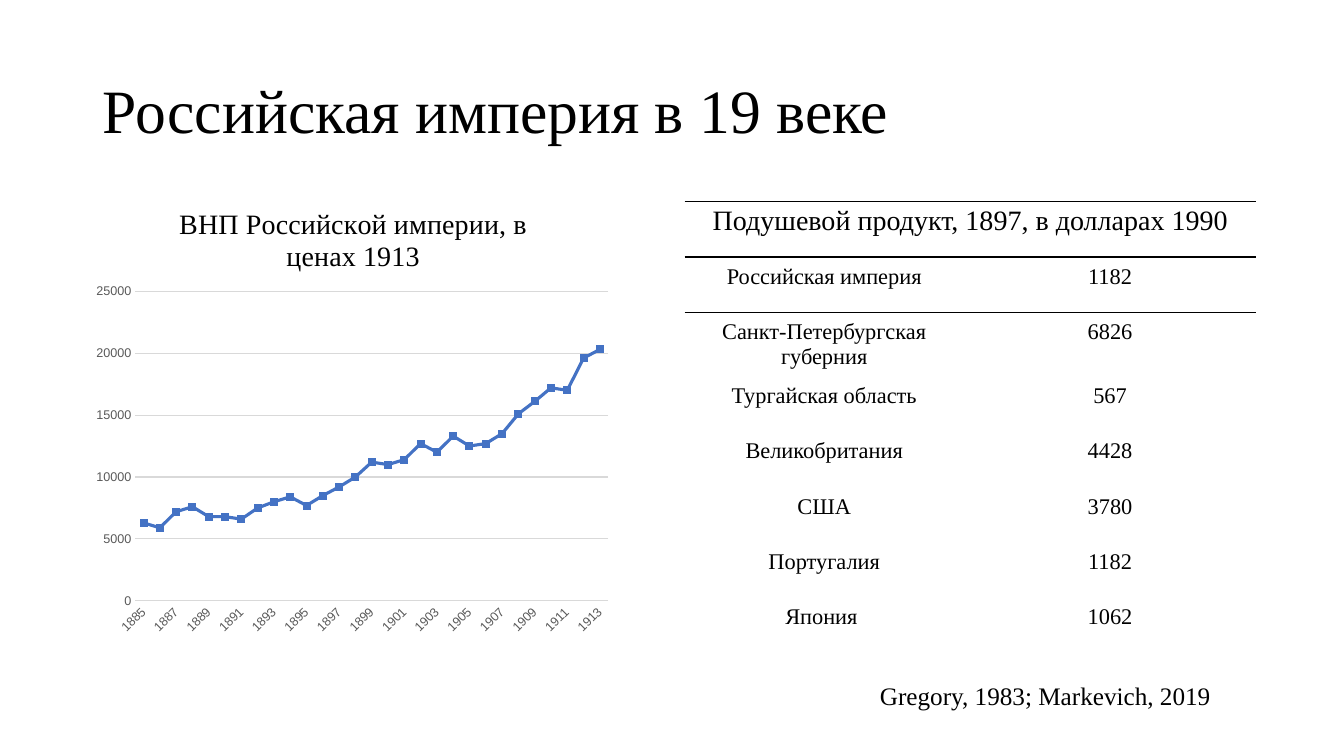
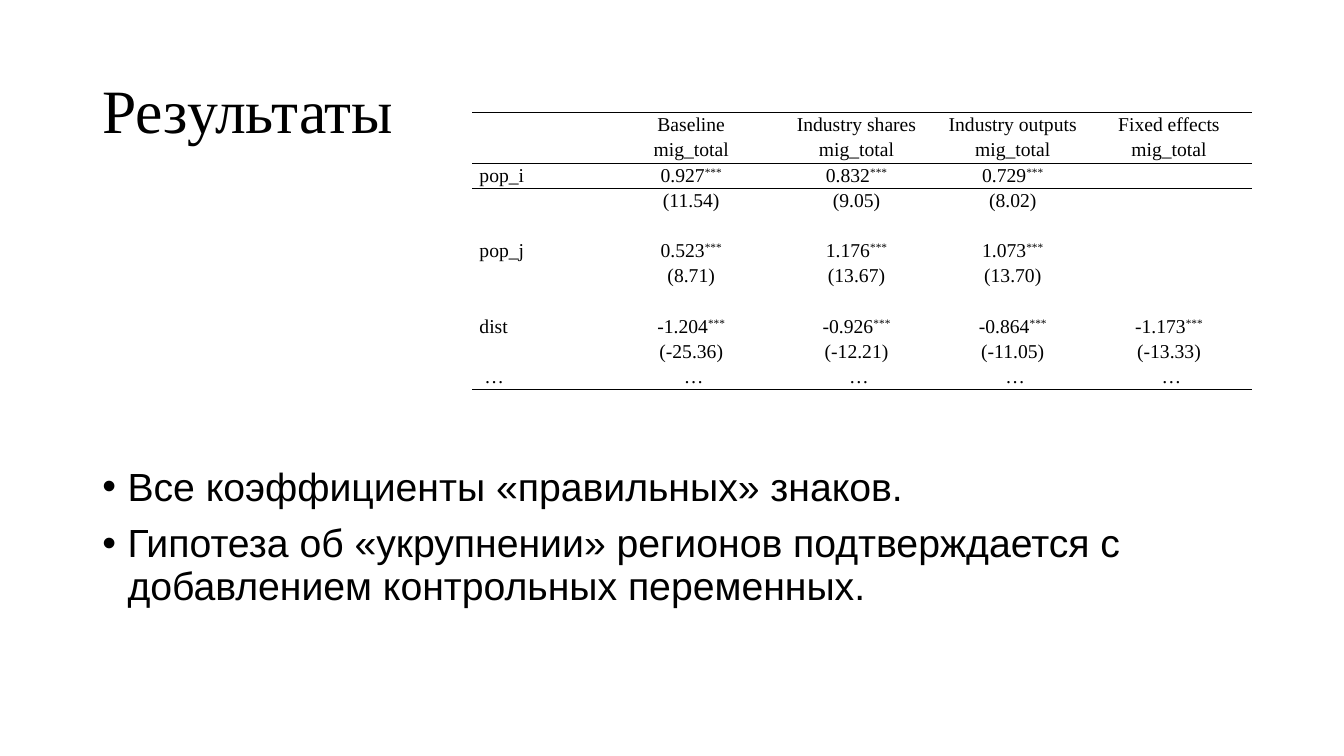
from lxml.etree import SubElement
from pptx import Presentation
from pptx.chart.data import CategoryChartData
from pptx.dml.color import RGBColor
from pptx.enum.chart import XL_CHART_TYPE as ChartType, XL_TICK_MARK as TickMark
from pptx.enum.text import MSO_ANCHOR as Anchor, MSO_AUTO_SIZE as AutoSize, PP_ALIGN as Align
from pptx.oxml import parse_xml
from pptx.oxml.ns import nsdecls, qn
from pptx.util import Pt

BLACK = RGBColor(0x00, 0x00, 0x00)
GRAY = RGBColor(0x59, 0x59, 0x59)
GRID = RGBColor(0xD9, 0xD9, 0xD9)
BLUE = RGBColor(0x44, 0x72, 0xC4)
SERIF, SANS = "Times New Roman", "Arial"
SLIDE_SIZE = (960, 540)
TITLE_BOX = (66, 28.8, 828, 104.4)
NO_STYLE = "{2D5ABB26-0587-4C30-8999-92F81FD0307C}"
STARS = "***"

GNP = [6300, 5900, 7200, 7600, 6800, 6800, 6600, 7500, 8000, 8400,
       7700, 8500, 9200, 10000, 11200, 11000, 11400, 12700, 12000, 13300,
       12500, 12700, 13500, 15100, 16100, 17200, 17000, 19600, 20300]

PRODUCT = [
    ["Подушевой продукт, 1897, в долларах 1990", ""],
    ["Российская империя", "1182"],
    ["Санкт-Петербургская губерния", "6826"],
    ["Тургайская область", "567"],
    ["Великобритания", "4428"],
    ["США", "3780"],
    ["Португалия", "1182"],
    ["Япония ", "1062"],
]

REGRESSION = [
    ["", "Baseline", "Industry shares", "Industry outputs", "Fixed effects"],
    [""] + ["mig_total"] * 4,
    ["pop_i", "0.927***", "0.832***", "0.729***", ""],
    ["", "(11.54)", "(9.05)", "(8.02)", ""],
    [""] * 5,
    ["pop_j", "0.523***", "1.176***", "1.073***", ""],
    ["", "(8.71)", "(13.67)", "(13.70)", ""],
    [""] * 5,
    ["dist", "-1.204***", "-0.926***", "-0.864***", "-1.173***"],
    ["", "(-25.36)", "(-12.21)", "(-11.05)", "(-13.33)"],
    [" …"] * 5,
]

FINDINGS = [
    "Все коэффициенты «правильных» знаков.",
    "Гипотеза об «укрупнении» регионов подтверждается с добавлением контрольных переменных.",
]


def points(box):
    return [Pt(length) for length in box]


def style_font(font, name, size, color=BLACK):
    font.name, font.size, font.bold = name, Pt(size), False
    font.color.rgb = color


def style_runs(paragraph, name, size):
    for run in paragraph.runs:
        style_font(run.font, name, size)


def titled_slide(prs, heading):
    slide = prs.slides.add_slide(prs.slide_layouts[5])
    title = slide.shapes.title
    title.left, title.top, title.width, title.height = points(TITLE_BOX)
    frame = title.text_frame
    frame.text = heading
    frame.auto_size = AutoSize.NONE
    frame.vertical_anchor = Anchor.MIDDLE
    line = frame.paragraphs[0]
    line.alignment, line.line_spacing = Align.LEFT, 0.9
    style_runs(line, SERIF, 44)
    return slide


# Tables ruled only above and below certain rows
def rule_cell(cell, sides):
    """Draw black 1 pt rules; sides is a string of T and B, in that order."""
    for side in sides:
        cell._tc.get_or_add_tcPr().append(parse_xml(
            f'<a:ln{side} {nsdecls("a")} w="12700"><a:solidFill>'
            f'<a:srgbClr val="{BLACK}"/></a:solidFill></a:ln{side}>'))


def fill_cell(cell, text, size, align, margins):
    cell.fill.background()
    cell.margin_left = cell.margin_right = Pt(margins[0])
    cell.margin_top = cell.margin_bottom = Pt(margins[1])
    paragraph = cell.text_frame.paragraphs[0]
    paragraph.alignment = align
    value = text.removesuffix(STARS)
    if not value:
        end = SubElement(paragraph._p, qn("a:endParaRPr"))
        end.set("sz", str(size * 100))
        return paragraph
    paragraph.text = value
    if value != text:
        stars = paragraph.add_run()
        stars.text = STARS
        stars.font._element.set("baseline", "30000")
    style_runs(paragraph, SERIF, size)
    return paragraph


def ruled_table(slide, left, top, widths, row_height, rows):
    frame = slide.shapes.add_table(len(rows), len(widths), *points(
        (left, top, sum(widths), row_height * len(rows))))
    table = frame.table
    table.first_row = table.horz_banding = False
    table._tbl.tblPr.find(qn("a:tableStyleId")).text = NO_STYLE
    for column, width in zip(table.columns, widths):
        column.width = Pt(width)
    for row in table.rows:
        row.height = Pt(row_height)
    return table


def product_table(slide, left, top):
    table = ruled_table(slide, left, top, (199.5, 208.8), 39.6, PRODUCT)
    for r, row in enumerate(PRODUCT):
        for c, text in enumerate(row):
            cell = table.cell(r, c)
            rule_cell(cell, {0: "TB", 1: "T"}.get(r, ""))
            size, inset = (16, 5) if r else (20, 2.9)
            fill_cell(cell, text, size, Align.CENTER, (5, inset))
    table.cell(0, 0).merge(table.cell(0, 1))


def regression_table(slide, left, top):
    widths = (97.2, 118.1, 118.1, 105.1, 118.1)
    table = ruled_table(slide, left, top, widths, 17.93, REGRESSION)
    rules = {0: "T", 1: "B", 2: "T", len(REGRESSION) - 1: "B"}
    for r, row in enumerate(REGRESSION):
        for c, text in enumerate(row):
            cell = table.cell(r, c)
            rule_cell(cell, rules.get(r, ""))
            align = Align.CENTER if c else Align.LEFT
            paragraph = fill_cell(cell, text, 14, align, (5, 0))
            paragraph.line_spacing, paragraph.space_after = 1.07, Pt(8)


# Line chart of national product
def gnp_chart(slide, box):
    data = CategoryChartData()
    data.categories = [str(1885 + i) for i in range(len(GNP))]
    data.add_series("Series 1", GNP)
    chart = slide.shapes.add_chart(ChartType.LINE, *points(box), data).chart
    style_font(chart.font, SANS, 10)
    chart.has_legend = False
    chart.has_title = True
    heading = chart.chart_title.text_frame
    heading.text = "ВНП Российской империи, в ценах 1913"
    style_runs(heading.paragraphs[0], SERIF, 20)
    chart.chart_title.include_in_layout = False

    years, values = chart.category_axis, chart.value_axis
    for axis in (years, values):
        axis.major_tick_mark = axis.minor_tick_mark = TickMark.NONE
        style_font(axis.tick_labels.font, SANS, 9, GRAY)
    years.format.line.color.rgb = GRID
    years.format.line.width = Pt(0.75)
    years._element.find(qn("c:txPr")).find(qn("a:bodyPr")).set("rot", "-2700000")
    values.minimum_scale, values.maximum_scale, values.major_unit = 0, 25000, 5000
    values.format.line.fill.background()
    values.major_gridlines.format.line.color.rgb = GRID
    values.major_gridlines.format.line.width = Pt(0.75)

    series = chart.plots[0].series[0]
    series.smooth = False
    series.format.line.color.rgb = BLUE
    series.format.line.width = Pt(2.25)
    series.marker.style = None
    chart.plots[0].vary_by_categories = False
    place_plot(chart, x=0.09, y=0.23, w=0.89, h=0.68)


def place_plot(chart, **parts):
    """Fix the inner plot area, in fractions of the chart."""
    area = chart._chartSpace.chart.plotArea
    for old in area.findall(qn("c:layout")):
        area.remove(old)
    sizes = "".join(f'<c:{key} val="{part}"/>' for key, part in parts.items())
    area.insert(0, parse_xml(
        f'<c:layout {nsdecls("c")}><c:manualLayout><c:layoutTarget val="inner"/>'
        f'<c:xMode val="edge"/><c:yMode val="edge"/>{sizes}'
        '</c:manualLayout></c:layout>'))


# Text regions
def citation(slide, box):
    frame = slide.shapes.add_textbox(*points(box)).text_frame
    frame.word_wrap = False
    frame.auto_size = AutoSize.SHAPE_TO_FIT_TEXT
    frame.text = "Gregory, 1983; Markevich, 2019"
    style_runs(frame.paragraphs[0], SERIF, 18)


def findings_list(slide, box):
    frame = slide.shapes.add_textbox(*points(box)).text_frame
    frame.word_wrap = True
    frame.text = "\n".join(FINDINGS)
    for finding in frame.paragraphs:
        finding.line_spacing, finding.space_before = 0.9, Pt(10)
        style_runs(finding, SANS, 28)
        props = finding._p.get_or_add_pPr()
        props.set("marL", str(Pt(18)))
        props.set("indent", str(-Pt(18)))
        SubElement(props, qn("a:buFont")).set("typeface", SANS)
        SubElement(props, qn("a:buChar")).set("char", "•")


def empire_slide(prs):
    slide = titled_slide(prs, "Российская империя в 19 веке")
    product_table(slide, 489, 144)
    gnp_chart(slide, (62.6, 133.2, 379.4, 325.4))
    citation(slide, (621.4, 482.4, 253.4, 28.8))


def results_slide(prs):
    slide = titled_slide(prs, "Результаты")
    findings_list(slide, (66, 330.5, 807, 155.5))
    regression_table(slide, 337.5, 80.6)


def main():
    prs = Presentation()
    prs.slide_width, prs.slide_height = points(SLIDE_SIZE)
    empire_slide(prs)
    results_slide(prs)
    prs.save("out.pptx")


if __name__ == "__main__":
    main()
